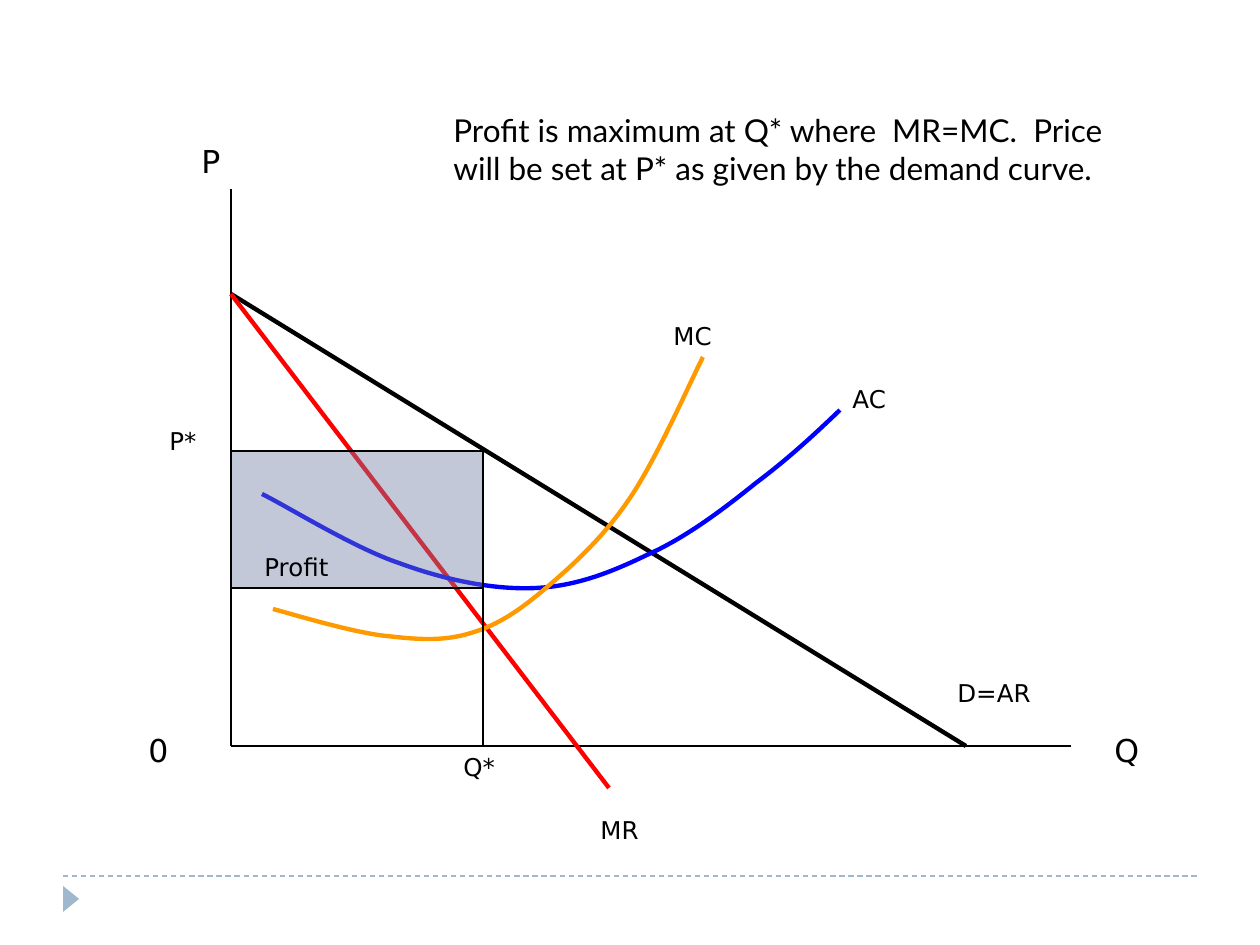
import pptx
import pptx.dml.color
import pptx.enum.dml
import pptx.enum.shapes
import pptx.oxml
import pptx.oxml.ns
import pptx.util

SCALE = 914400 // 126
BLACK = "000000"
ACCENT = "9FB8CD"
SHAPES = pptx.enum.shapes.MSO_SHAPE


def color(code):
    return pptx.dml.color.RGBColor.from_string(code)


def add_child(parent, tag, **attributes):
    child = pptx.oxml.parse_xml(f"<{tag} {pptx.oxml.ns.nsdecls('a')}/>")
    for name, value in attributes.items():
        child.set(name, value)
    parent.append(child)
    return child


class Diagram:
    """Draws styled elements on one slide, measured in pixels."""

    def __init__(self, page, font):
        self.page = page
        self.font = font

    def stroke(self, line, code, weight):
        line.color.rgb = color(code)
        line.width = pptx.util.Pt(weight)

    def line(self, start, end, code=BLACK, weight=0.75, dash=None):
        ends = [value * SCALE for value in (*start, *end)]
        connector = self.page.shapes.add_connector(
            pptx.enum.shapes.MSO_CONNECTOR.STRAIGHT, *ends)
        self.stroke(connector.line, code, weight)
        if dash:
            connector.line.dash_style = dash
        add_child(connector._element.spPr, "a:effectLst")

    def shape(self, kind, left, top, width, height, fill, outline=None, alpha=None, turn=0):
        area = [value * SCALE for value in (left, top, width, height)]
        shape = self.page.shapes.add_shape(kind, *area)
        shape.shadow.inherit = False
        shape.rotation = turn
        shape.fill.solid()
        shape.fill.fore_color.rgb = color(fill)
        if alpha:
            tint = shape._element.spPr.find(".//" + pptx.oxml.ns.qn("a:srgbClr"))
            add_child(tint, "a:alpha", val=str(alpha * 1000))
        if outline:
            self.stroke(shape.line, outline, 0.75)
        else:
            shape.line.fill.background()

    def curve(self, points, code, weight=2.5):
        builder = self.page.shapes.build_freeform(*points[0], scale=SCALE)
        builder.add_line_segments(points[1:], close=False)
        shape = builder.convert_to_shape()
        shape.shadow.inherit = False
        shape.fill.background()
        self.stroke(shape.line, code, weight)
        segments = list(shape._element.iter(pptx.oxml.ns.qn("a:lnTo")))
        outline = segments[0].getparent()
        for first in range(0, len(segments), 3):
            bend = add_child(outline, "a:cubicBezTo")
            for segment in segments[first:first + 3]:
                bend.append(segment[0])
                outline.remove(segment)

    def text(self, words, left, top, width, height=42, size=14, font=None):
        area = [value * SCALE for value in (left, top, width, height)]
        frame = self.page.shapes.add_textbox(*area).text_frame
        frame.word_wrap = True
        span = frame.paragraphs[0].add_run()
        span.text = words
        span.font.name = font or self.font
        span.font.size = pptx.util.Pt(size)
        span.font.color.rgb = color(BLACK)


deck = pptx.Presentation()
deck.slide_width = 1260 * SCALE
deck.slide_height = 945 * SCALE
page = deck.slides.add_slide(deck.slide_layouts[6])
diagram = Diagram(page, "DejaVu Sans")

diagram.line((63, 876), (1197, 876), ACCENT, dash=pptx.enum.dml.MSO_LINE.DASH)
diagram.shape(SHAPES.ISOSCELES_TRIANGLE, 58, 891, 26, 16, ACCENT, turn=90)

axis, base = 231, 746
quantity, price, cost = 483, 451, 588
intercept = (axis, 294)
diagram.line((axis, 189), (axis, base))
diagram.line((axis, base), (1071, base))
diagram.line(intercept, (966, base), weight=2.5)
diagram.line(intercept, (609, 788), "FF0000", 2.5)

average_cost = [
    (262, 494), (285, 505), (354, 548), (399, 563),
    (445, 580), (494, 590), (536, 588),
    (577, 586), (612, 572), (649, 554),
    (687, 537), (725, 508), (756, 483),
    (788, 459), (814, 435), (840, 410)]
marginal_cost = [
    (273, 609), (292, 614), (354, 633), (387, 636),
    (421, 640), (445, 641), (471, 633),
    (498, 625), (519, 611), (546, 588),
    (572, 566), (604, 537), (630, 498),
    (656, 460), (688, 387), (703, 357)]
diagram.curve(average_cost, "0000FF")
diagram.curve(marginal_cost, "FF9900")

diagram.line((quantity, base), (quantity, price))
for level in (price, cost):
    diagram.line((quantity, level), (axis, level))
diagram.shape(SHAPES.RECTANGLE, axis, price, quantity - axis, cost - price,
              "727CA3", BLACK, alpha=42)

for words, left, top, width in [
        ("MR", 588, 809, 84), ("D=AR", 945, 672, 189), ("MC", 661, 315, 84),
        ("AC", 840, 378, 84), ("P*", 157, 420, 63), ("Profit", 252, 546, 168),
        ("Q*", 451, 746, 63)]:
    diagram.text(words, left, top, width)
for words, left, top in [("Q", 1102, 725), ("P", 189, 136), ("0", 136, 725)]:
    diagram.text(words, left, top, 84, 50, 18)
diagram.text("Profit is maximum at Q* where  MR=MC.  Price will be set at P* "
             "as given by the demand curve.", 441, 105, 683, 88, 18, "Lato")

deck.save("out.pptx")
